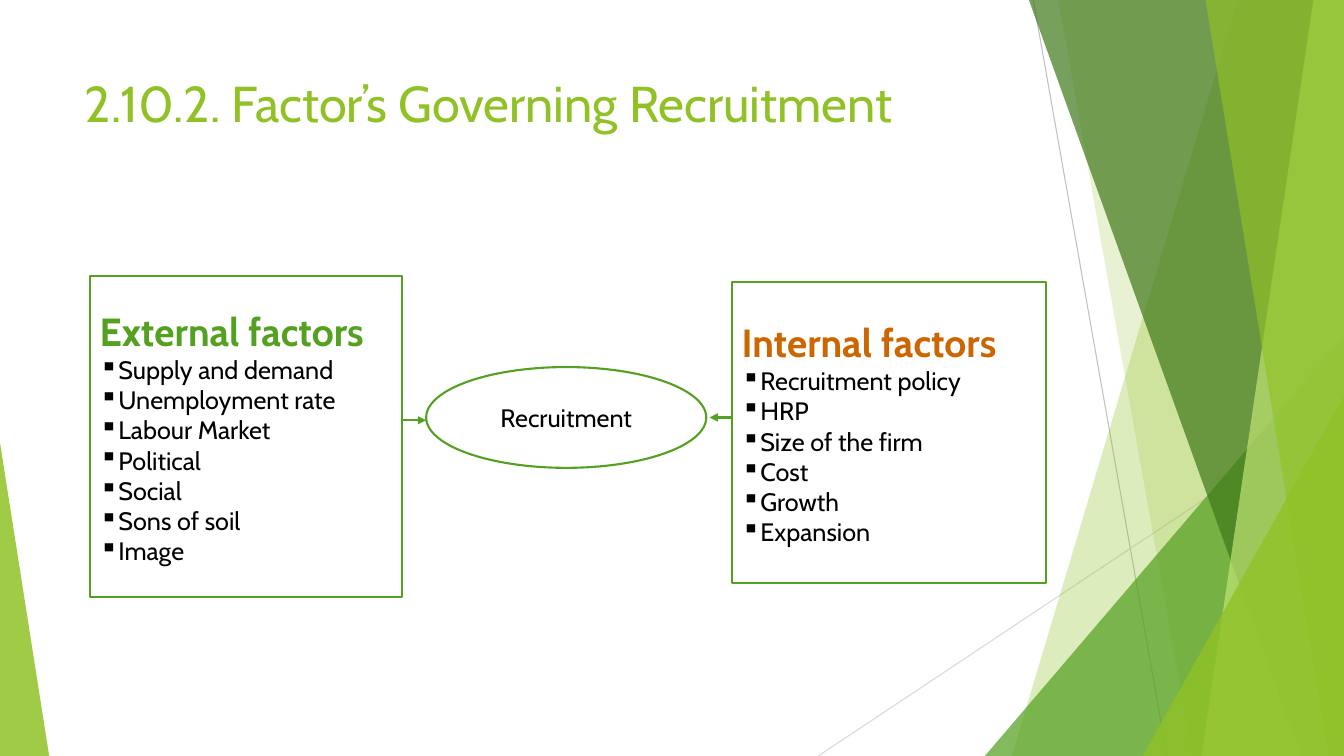
from lxml import etree
from pptx import Presentation
from pptx.dml.color import RGBColor
from pptx.enum.shapes import MSO_CONNECTOR, MSO_SHAPE
from pptx.enum.text import MSO_ANCHOR, PP_ALIGN
from pptx.oxml.ns import qn
from pptx.util import Cm, Pt

STRAIGHT = MSO_CONNECTOR.STRAIGHT
TRIANGLE, RECT, OVAL = MSO_SHAPE.ISOSCELES_TRIANGLE, MSO_SHAPE.RECTANGLE, MSO_SHAPE.OVAL
TOP, MIDDLE = MSO_ANCHOR.TOP, MSO_ANCHOR.MIDDLE
LEFT, CENTER = PP_ALIGN.LEFT, PP_ALIGN.CENTER
LIME, GREEN, ORANGE, BLACK, WHITE = "90C226", "54A021", "CC6600", "000000", "FFFFFF"
W, H = 33.87, 19.05


def rgb(color):
    return RGBColor.from_string(color)


def write(p, text, size=18, color=BLACK, bold=False, align=LEFT, bullet=None):
    p.alignment = align
    if bullet:
        etree.SubElement(p._p.get_or_add_pPr(), qn("a:buChar"), char=bullet)
    r = p.add_run()
    r.text = text
    r.font.name = "Cabin"
    r.font.size = Pt(size)
    r.font.bold = bold
    r.font.color.rgb = rgb(color)


prs = Presentation()
prs.slide_width, prs.slide_height = Cm(W), Cm(H)
s = prs.slides.add_slide(prs.slide_layouts[5])

title = s.shapes.title
title.left, title.top, title.width, title.height = Cm(1.88), Cm(1.7), Cm(23.88), Cm(3.66)
title.text_frame.vertical_anchor = TOP
title.text_frame.word_wrap = True
write(title.text_frame.paragraphs[0], "2.10.2. Factor’s Governing Recruitment", size=36, color=LIME)

lines = [
    (26.04, 0, 29.41, H, "BFBFBF", 0.75, False),
    (W, 10.24, 20.62, H, "D9D9D9", 0.75, False),
    (10.16, 10.59, 10.74, 10.59, GREEN, 1.5, True),
    (18.44, 10.52, 17.88, 10.52, GREEN, 1.5, True),
]
for x1, y1, x2, y2, color, width, arrow in lines:
    line = s.shapes.add_connector(STRAIGHT, Cm(x1), Cm(y1), Cm(x2), Cm(y2))
    line.line.color.rgb = rgb(color)
    line.line.width = Pt(width)
    if arrow:
        etree.SubElement(line.line._get_or_add_ln(), qn("a:tailEnd"), type="triangle")
    etree.SubElement(line._element.spPr, qn("a:effectLst"))

facets = [
    ("band", (31.19, 25.5), LIME, 30),
    ("band", (26.67, 30.05), LIME, 20),
    ("triangle", (24.82, 8.46, 9.05, 1), GREEN, 72),
    ("band", (25.93, 32.79), "3F7819", 70),
    ("band", (33.1, 30.28), "C0E474", 70),
    ("band", (30.38, 33.48), LIME, 65),
    ("triangle", (28.8, 9.98, 5.07, 1), LIME, 80),
    ("triangle", (0, 11.15, 1.24, 0), LIME, 85),
]
for kind, geometry, color, opacity in facets:
    if kind == "band":
        x_top, x_bottom = geometry
        fb = s.shapes.build_freeform(Cm(x_top), 0)
        fb.add_line_segments([(Cm(W), 0), (Cm(W), Cm(H)), (Cm(x_bottom), Cm(H))], close=True)
        sp = fb.convert_to_shape()
    else:
        x, y, w, apex = geometry
        sp = s.shapes.add_shape(TRIANGLE, Cm(x), Cm(y), Cm(w), Cm(H - y))
        sp.adjustments[0] = apex
    sp.shadow.inherit = False
    sp.line.fill.background()
    sp.fill.solid()
    sp.fill.fore_color.rgb = rgb(color)
    clr = sp._element.spPr.find(qn("a:solidFill")).find(qn("a:srgbClr"))
    etree.SubElement(clr, qn("a:alpha"), val=str(opacity * 1000))

external = ["Supply and demand", "Unemployment rate", "Labour Market", "Political",
            "Social", "Sons of soil", "Image"]
internal = ["Recruitment policy", "HRP", "Size of the firm", "Cost", "Growth", "Expansion"]
heading = {"size": 28, "bold": True}
nodes = [
    (RECT, 2.26, 6.96, 7.87, 8.08, "External factors", {"color": GREEN, **heading}, external),
    (RECT, 18.44, 7.11, 7.92, 7.59, "Internal factors", {"color": ORANGE, **heading}, internal),
    (OVAL, 10.74, 9.25, 7.06, 2.54, "Recruitment", {"align": CENTER}, []),
]
for shape, x, y, w, h, label, style, factors in nodes:
    sp = s.shapes.add_shape(shape, Cm(x), Cm(y), Cm(w), Cm(h))
    sp.shadow.inherit = False
    sp.fill.solid()
    sp.fill.fore_color.rgb = rgb(WHITE)
    sp.line.color.rgb = rgb(GREEN)
    sp.line.width = Pt(1.5)
    tf = sp.text_frame
    tf.word_wrap = True
    tf.vertical_anchor = MIDDLE
    write(tf.paragraphs[0], label, **style)
    for factor in factors:
        write(tf.add_paragraph(), factor, bullet="▪")

prs.save("out.pptx")
